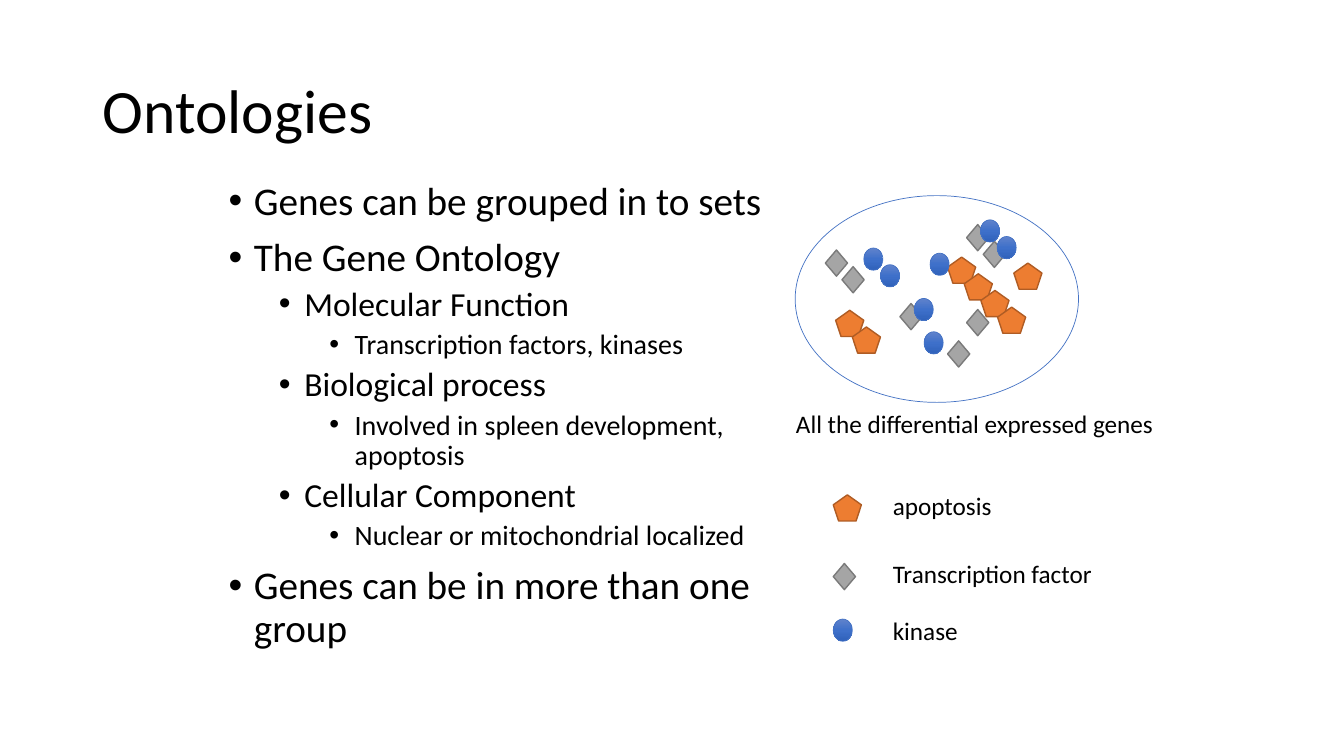
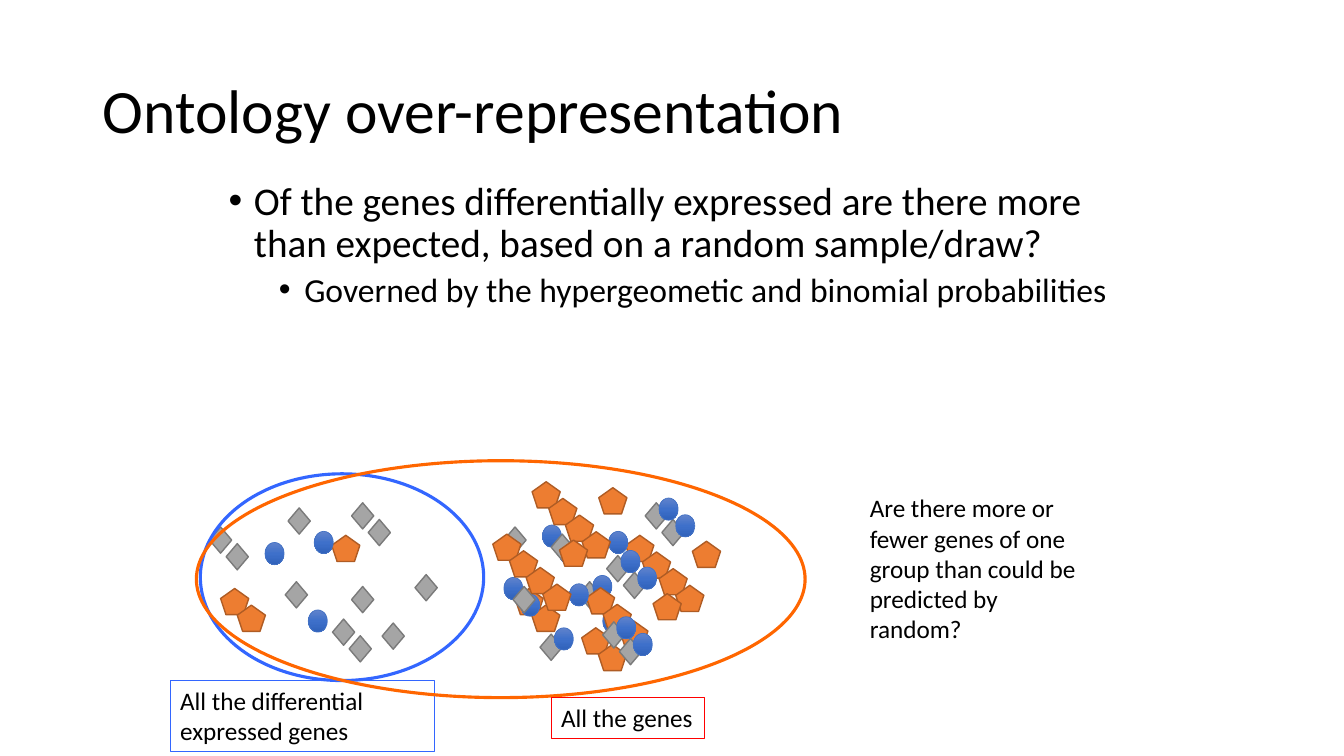
import copy
import dataclasses

import pptx
import pptx.dml.color
import pptx.enum.shapes
import pptx.enum.text
import pptx.oxml.ns
import pptx.util
from lxml import etree

Cm = pptx.util.Cm
Pt = pptx.util.Pt
Shape = pptx.enum.shapes.MSO_SHAPE
Anchor = pptx.enum.text.MSO_ANCHOR
qn = pptx.oxml.ns.qn


@dataclasses.dataclass(frozen=True)
class Marker:
    shape: int
    width: float
    height: float
    fill: tuple
    line: str
    line_width: float


@dataclasses.dataclass(frozen=True)
class Theme:
    font: str = "Calibri"
    text: str = "000000"
    title_size: int = 44
    body_sizes: tuple = (28, 24, 20)
    body_gaps: tuple = (10, 5, 5)
    label_size: int = 18
    line_spacing: float = 0.9
    set_line: str = "4472C4"
    sample_line: str = "3366FF"
    genome_line: str = "FF6600"
    genome_label_line: str = "FF0000"
    marker_step: float = 0.42


THEME = Theme()

APOPTOSIS = Marker(Shape.REGULAR_PENTAGON, 0.71, 0.66, ("ED7D31",), "AF5C24", 1)
FACTOR = Marker(Shape.DIAMOND, 0.56, 0.66, ("A5A5A5",), "7A7A7A", 1)
KINASE = Marker(Shape.OVAL, 0.48, 0.56, ("6183CB", "3E70CA", "3062BB"), "4472C4", 0.5)

GENE_SET = [
    (APOPTOSIS, 23.88, 6.48, 4), (APOPTOSIS, 21.06, 7.82, 2), (APOPTOSIS, 25.55, 6.63, 1),
    (FACTOR, 22.68, 7.65, 1), (FACTOR, 24.36, 5.66, 2), (FACTOR, 20.8, 6.3, 2),
    (FACTOR, 23.88, 8.59, 1), (FACTOR, 24.36, 7.8, 1),
    (KINASE, 21.77, 6.25, 2), (KINASE, 23.29, 8.36, 1), (KINASE, 23.04, 7.52, 1),
    (KINASE, 24.71, 5.54, 2), (KINASE, 23.44, 6.38, 1),
]

EXPRESSED_GENES = [
    (FACTOR, 7.19, 14.66, 1), (FACTOR, 8.86, 12.67, 2), (FACTOR, 5.28, 13.28, 2),
    (FACTOR, 8.38, 15.6, 2), (FACTOR, 8.86, 14.78, 1), (FACTOR, 7.26, 12.8, 1),
    (FACTOR, 9.63, 15.7, 1), (FACTOR, 10.46, 14.48, 1),
    (APOPTOSIS, 8.36, 13.49, 1), (APOPTOSIS, 5.56, 14.83, 2),
    (KINASE, 6.68, 13.67, 1), (KINASE, 7.77, 15.37, 1), (KINASE, 7.92, 13.39, 1),
]

OTHER_GENES = [
    (FACTOR, 14.58, 14.66, 1), (APOPTOSIS, 15.77, 13.49, 4), (APOPTOSIS, 12.98, 14.83, 2),
    (KINASE, 13.67, 13.23, 2), (FACTOR, 16.26, 12.67, 2), (KINASE, 15.19, 15.37, 1),
    (KINASE, 14.94, 14.5, 1), (FACTOR, 12.7, 13.28, 1), (KINASE, 16.61, 12.55, 2),
    (KINASE, 15.34, 13.39, 1), (APOPTOSIS, 17.45, 13.64, 1), (APOPTOSIS, 13.41, 12.14, 4),
    (FACTOR, 13.89, 13.46, 1), (APOPTOSIS, 15.09, 12.29, 1), (APOPTOSIS, 14.66, 15.82, 2),
    (KINASE, 12.7, 14.55, 2), (FACTOR, 13.61, 15.98, 1), (APOPTOSIS, 14.78, 14.81, 3),
    (FACTOR, 15.29, 14, 2), (KINASE, 13.97, 15.82, 1), (KINASE, 15.65, 13.87, 2),
    (KINASE, 14.35, 14.71, 1), (APOPTOSIS, 16.46, 14.96, 1), (APOPTOSIS, 12.42, 13.46, 4),
    (FACTOR, 12.93, 14.78, 1), (APOPTOSIS, 14.1, 13.61, 1), (FACTOR, 15.19, 15.67, 2),
    (KINASE, 15.54, 15.54, 2),
]


def rgb(value):
    return pptx.dml.color.RGBColor.from_string(value)


def set_line(shape, color, width):
    shape.line.color.rgb = rgb(color)
    shape.line.width = Pt(width)


def set_fill(shape, colors):
    if len(colors) == 1:
        shape.fill.solid()
        shape.fill.fore_color.rgb = rgb(colors[0])
        return
    shape.fill.gradient()
    shape.fill.gradient_angle = 270
    stops = shape._element.spPr.find(".//" + qn("a:gsLst"))
    while len(stops) < len(colors):
        stops.append(copy.deepcopy(stops[0]))
    for index, (stop, color) in enumerate(zip(shape.fill.gradient_stops, colors)):
        stop.position = index / (len(colors) - 1)
        stop.color.rgb = rgb(color)


def write(para, text, *, size=THEME.label_size, color=THEME.text, spacing=None, before=0):
    span = para.add_run()
    span.text = text
    span.font.name = THEME.font
    span.font.size = Pt(size)
    span.font.color.rgb = rgb(color)
    para.space_before = Pt(before)
    if spacing:
        para.line_spacing = spacing


def add_box(page, left, top, width, height, *, wrap=True, anchor=Anchor.TOP):
    box = page.shapes.add_textbox(Cm(left), Cm(top), Cm(width), Cm(height))
    box.text_frame.word_wrap = wrap
    box.text_frame.vertical_anchor = anchor
    return box


def add_title(page, text):
    box = add_box(page, 2.34, 1.02, 29.21, 3.68, anchor=Anchor.MIDDLE)
    write(box.text_frame.paragraphs[0], text, size=THEME.title_size, spacing=THEME.line_spacing)


def add_bullet(para, level):
    props = para._p.get_or_add_pPr()
    props.set("marL", str(Cm(0.64 + 1.27 * level)))
    props.set("indent", str(-Cm(0.64)))
    etree.SubElement(props, qn("a:buFont"), typeface="Arial")
    etree.SubElement(props, qn("a:buChar"), char="•")


def add_body(page, width, height, items):
    frame = add_box(page, 5.51, 4.45, width, height).text_frame
    for index, (level, text) in enumerate(items):
        para = frame.add_paragraph() if index else frame.paragraphs[0]
        para.level = level
        add_bullet(para, level)
        write(para, text, size=THEME.body_sizes[level], spacing=THEME.line_spacing,
              before=THEME.body_gaps[level] if index else 0)


def add_label(page, text, left, top, width, height=1.02, *, wrap=False, line=None):
    box = add_box(page, left, top, width, height, wrap=wrap)
    write(box.text_frame.paragraphs[0], text)
    if line:
        set_line(box, line, 0.75)


def add_marker(page, marker, left, top):
    shape = page.shapes.add_shape(marker.shape, Cm(left), Cm(top),
                                  Cm(marker.width), Cm(marker.height))
    shape.shadow.inherit = False
    set_fill(shape, marker.fill)
    set_line(shape, marker.line, marker.line_width)


def add_cluster(page, runs):
    for marker, left, top, count in runs:
        for index in range(count):
            shift = index * THEME.marker_step
            add_marker(page, marker, left + shift, top + shift)


def add_outline(page, left, top, width, height, color, line_width):
    oval = page.shapes.add_shape(Shape.OVAL, Cm(left), Cm(top), Cm(width), Cm(height))
    oval.shadow.inherit = False
    oval.fill.background()
    set_line(oval, color, line_width)


def add_legend(page, entries):
    for marker, marker_top, text, text_top, width in entries:
        add_marker(page, marker, 21, marker_top)
        add_label(page, text, 22.25, text_top, width)


def add_page(deck, title):
    page = deck.slides.add_slide(deck.slide_layouts[6])
    add_title(page, title)
    return page


def build_ontologies(deck):
    page = add_page(deck, "Ontologies")
    add_body(page, 14.3, 14.05, [
        (0, "Genes can be grouped in to sets"),
        (0, "The Gene Ontology"),
        (1, "Molecular Function"),
        (2, "Transcription factors, kinases"),
        (1, "Biological process"),
        (2, "Involved in spleen development, apoptosis"),
        (1, "Cellular Component"),
        (2, "Nuclear or mitochondrial localized"),
        (0, "Genes can be in more than one group"),
    ])
    add_cluster(page, GENE_SET)
    add_outline(page, 20.04, 4.93, 7.14, 5.21, THEME.set_line, 0.5)
    add_label(page, "All the differential expressed genes", 19.81, 10.16, 9.63)
    add_legend(page, [
        (APOPTOSIS, 12.47, "apoptosis", 12.22, 3.02),
        (FACTOR, 14.2, "Transcription factor", 13.94, 5.59),
        (KINASE, 15.6, "kinase", 15.37, 2.16),
    ])


def build_over_representation(deck):
    page = add_page(deck, "Ontology over-representation")
    add_body(page, 22.86, 7.42, [
        (0, "Of the genes differentially expressed are there more than expected, "
            "based on a random sample/draw?"),
        (1, "Governed by the hypergeometic and binomial probabilities"),
    ])
    add_cluster(page, EXPRESSED_GENES)
    add_cluster(page, OTHER_GENES)
    add_outline(page, 5.05, 11.94, 7.14, 5.21, THEME.sample_line, 2.25)
    add_label(page, "All the differential expressed genes", 4.29, 17.15, 6.65, 1.8,
              wrap=True, line=THEME.sample_line)
    add_outline(page, 4.95, 11.61, 15.34, 5.97, THEME.genome_line, 2.25)
    add_label(page, "All the genes", 13.89, 17.58, 3.86, line=THEME.genome_label_line)
    add_label(page, "Are there more or fewer genes of one group than could "
              "be predicted by random?", 21.67, 12.29, 5.69, 4.11, wrap=True)


def main():
    deck = pptx.Presentation()
    deck.slide_width = Cm(33.87)
    deck.slide_height = Cm(19.05)
    build_ontologies(deck)
    build_over_representation(deck)
    deck.save("out.pptx")


if __name__ == "__main__":
    main()
